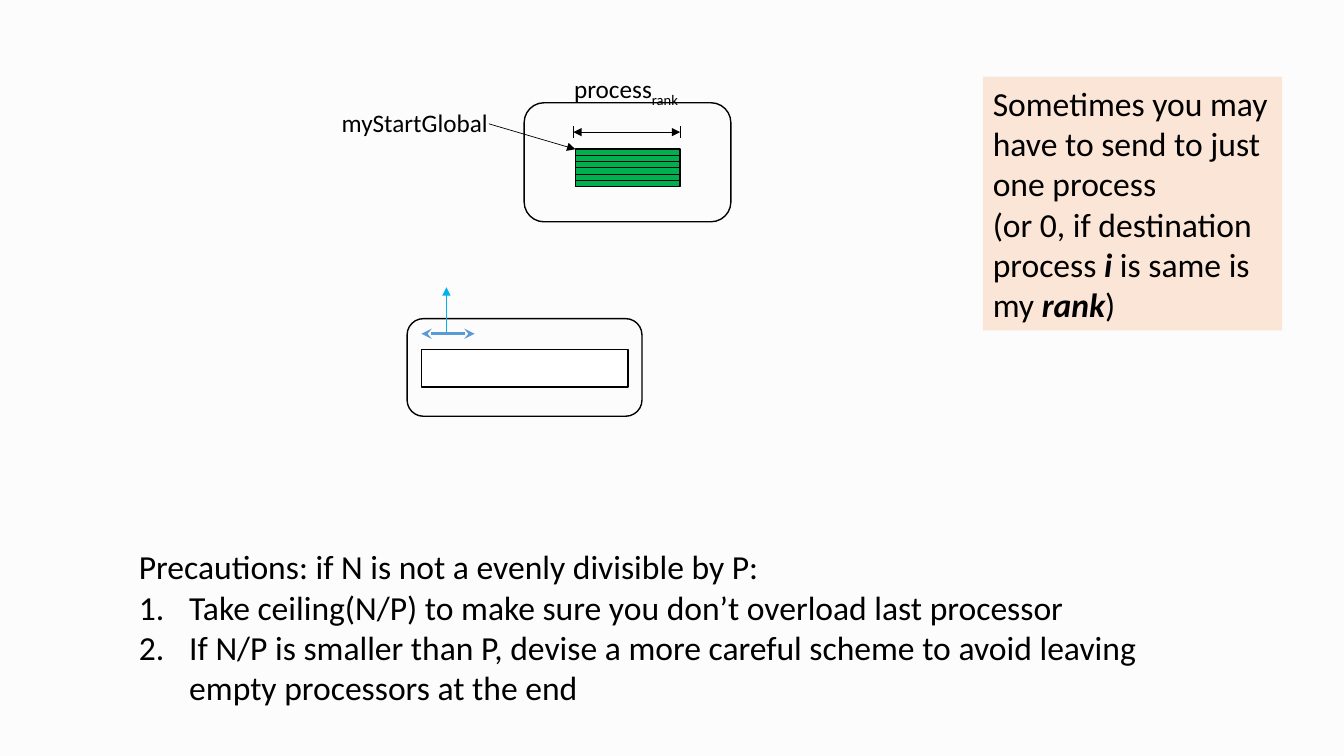
from lxml.etree import SubElement
from pptx import Presentation
from pptx.dml.color import RGBColor
from pptx.enum.shapes import MSO_CONNECTOR, MSO_SHAPE
from pptx.enum.text import MSO_AUTO_SIZE
from pptx.oxml.ns import qn
from pptx.util import Cm, Pt

BLACK, WHITE, GREEN = "000000", "FFFFFF", "00B050"
PAPER, PEACH, SKY, BLUE = "FCFCFC", "FBE5D6", "00B0F0", "5B9BD5"
STRONG = {"bold": True, "italic": True}


def color(value):
    return RGBColor.from_string(value)


def paint(fill, value):
    if value is None:
        fill.background()
    else:
        fill.solid()
        fill.fore_color.rgb = color(value)


def add_box(page, kind, place, fill=None, outline=BLACK):
    box = page.shapes.add_shape(kind, *map(Cm, place))
    box.shadow.inherit = False
    paint(box.fill, fill)
    paint(box.line.fill, outline)
    if outline:
        box.line.width = Pt(1)
    return box


def add_line(page, start, end, stroke=BLACK, width=0.5, head=None, tail=None):
    line = page.shapes.add_connector(MSO_CONNECTOR.STRAIGHT, *map(Cm, start + end))
    line.line.color.rgb = color(stroke)
    line.line.width = Pt(width)
    for tag, arrow in (("a:headEnd", head), ("a:tailEnd", tail)):
        if arrow:
            SubElement(line.line._get_or_add_ln(), qn(tag), type=arrow)
    SubElement(line._element.spPr, qn("a:effectLst"))


def number_paragraph(para):
    properties = para._p.get_or_add_pPr()
    properties.set("marL", str(Cm(1.27)))
    properties.set("indent", str(-Cm(1.27)))
    SubElement(properties, qn("a:buFont"), typeface="+mj-lt")
    SubElement(properties, qn("a:buAutoNum"), type="arabicPeriod")


def write(box, paragraphs, size, numbered_from=None):
    """Each paragraph is a list of (text, format values) pairs."""
    frame = box.text_frame
    frame.word_wrap = True
    frame.auto_size = MSO_AUTO_SIZE.SHAPE_TO_FIT_TEXT
    for index, parts in enumerate(paragraphs):
        para = frame.add_paragraph() if index else frame.paragraphs[0]
        if numbered_from is not None and index >= numbered_from:
            number_paragraph(para)
        for text, values in parts:
            span = para.add_run()
            span.text = text
            for name, value in {"name": "Calibri", "size": Pt(size), **values}.items():
                setattr(span.font, name, value)
            span.font.color.rgb = color(BLACK)


def add_text(page, place, paragraphs, size, numbered_from=None):
    box = page.shapes.add_textbox(*map(Cm, place))
    write(box, paragraphs, size, numbered_from)
    return box


def add_data_block(page, left, top, width, height, rows):
    add_box(page, MSO_SHAPE.RECTANGLE, (left, top, width, height), GREEN)
    for row in range(1, rows):
        y = top + height * row / rows
        add_line(page, (left, y), (left + width, y))


def add_dimension(page, left, right, y, tick):
    add_line(page, (left, y), (right, y), head="triangle", tail="triangle")
    for x in (left, right):
        add_line(page, (x, y - tick), (x, y + tick))


def main():
    deck = Presentation()
    deck.slide_width, deck.slide_height = Cm(33.87), Cm(19.05)
    page = deck.slides.add_slide(deck.slide_layouts[6])
    paint(page.background.fill, PAPER)

    # Processes and their data
    add_box(page, MSO_SHAPE.RECTANGLE, (10.62, 8.81, 5.21, 0.94), WHITE)
    add_data_block(page, 14.5, 3.76, 2.64, 0.94, rows=6)
    add_box(page, MSO_SHAPE.ROUNDED_RECTANGLE, (13.21, 2.59, 5.21, 3))
    add_box(page, MSO_SHAPE.ROUNDED_RECTANGLE, (10.26, 8.03, 5.92, 2.46))

    # Labels and pointers
    add_text(page, (8.36, 2.59, 4.5, 1.02), [[("myStartGlobal", {})]], 18)
    add_line(page, (12.32, 3.12), (14.5, 3.76), tail="triangle")
    label = add_text(page, (14.22, 1.73, 3.94, 1.02),
                     [[("process", {}), ("rank", {})]], 18)
    subscript = label.text_frame.paragraphs[0].runs[1]
    subscript._r.get_or_add_rPr().set("baseline", "-25000")
    add_dimension(page, 14.45, 17.14, y=3.33, tick=0.15)

    # Side note
    note = add_box(page, MSO_SHAPE.RECTANGLE, (24.77, 1.93, 7.54, 6.4), PEACH, None)
    write(note, [
        [("Sometimes you may have to send to just one process", {})],
        [("(or 0, if destination process ", {}), ("i", STRONG),
         (" is same is my ", {}), ("rank", STRONG), (")", {})],
    ], 24)
    for para in note.text_frame.paragraphs:
        para.alignment = 1  # left

    # Precautions
    add_text(page, (3.25, 13.64, 25.86, 4.37), [
        [("Precautions: if N is not a evenly divisible by P:", {})],
        [("Take ceiling(N/P) to make sure you don’t overload last processor", {})],
        [("If N/P is smaller than P, devise a more careful scheme to avoid "
          "leaving empty processors at the end", {})],
    ], 24, numbered_from=1)

    # Sent part of the lower process
    add_line(page, (11.25, 8.41), (11.25, 7.24), SKY, tail="triangle")
    add_line(page, (10.62, 8.41), (11.96, 8.41), BLUE, 2.5, "stealth", "stealth")

    deck.save("out.pptx")


if __name__ == "__main__":
    main()
